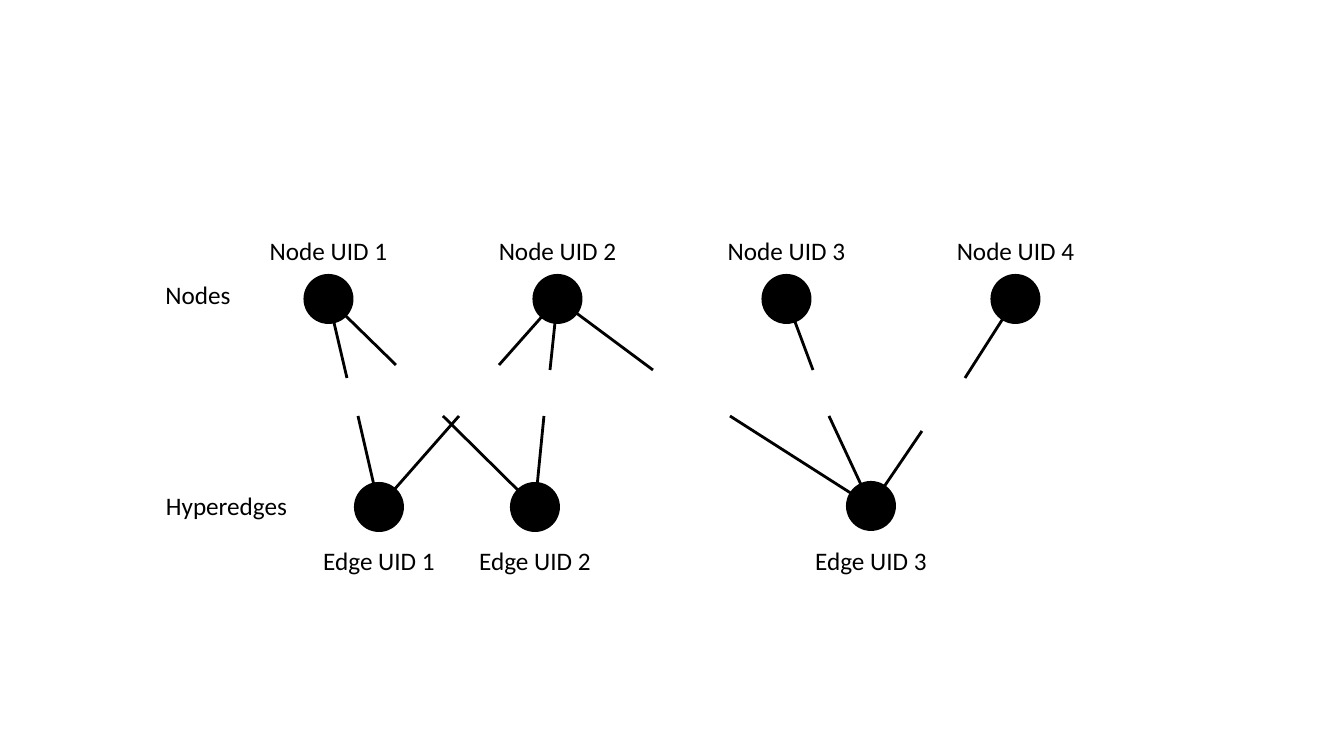
from lxml import etree
from pptx import Presentation
from pptx.dml.color import RGBColor
from pptx.enum.shapes import MSO_CONNECTOR, MSO_SHAPE
from pptx.enum.text import MSO_AUTO_SIZE, PP_ALIGN
from pptx.oxml.ns import qn
from pptx.util import Emu, Inches, Pt

OVAL = MSO_SHAPE.OVAL
STRAIGHT = MSO_CONNECTOR.STRAIGHT
CENTER = PP_ALIGN.CENTER
FIT_SHAPE = MSO_AUTO_SIZE.SHAPE_TO_FIT_TEXT
PX = Inches(1) / 100.8


def px(n):
    return Emu(round(n * PX))


def rgb(value):
    return RGBColor.from_string(value)


class Diagram:
    font, size, ink = "Calibri", 18, "000000"
    weight, dot_size, label_h = 2, 50, 40

    def __init__(self, slide):
        self.s = slide

    def dot(self, cx, cy):
        d = self.dot_size
        sp = self.s.shapes.add_shape(OVAL, px(cx - d / 2), px(cy - d / 2), px(d), px(d))
        sp.shadow.inherit = False
        sp.fill.solid()
        sp.fill.fore_color.rgb = rgb(self.ink)
        sp.line.fill.background()

    def line(self, start, end):
        ln = self.s.shapes.add_connector(STRAIGHT, *map(px, start + end))
        ln.line.color.rgb = rgb(self.ink)
        ln.line.width = Pt(self.weight)
        etree.SubElement(ln._element.spPr, qn("a:effectLst"))

    def label(self, text, cx, top, width):
        sp = self.s.shapes.add_textbox(px(cx - width / 2), px(top), px(width), px(self.label_h))
        tf = sp.text_frame
        tf.word_wrap = False
        tf.auto_size = FIT_SHAPE
        p = tf.paragraphs[0]
        p.alignment = CENTER
        r = p.add_run()
        r.text = text
        r.font.name = self.font
        r.font.size = Pt(self.size)
        r.font.color.rgb = rgb(self.ink)


prs = Presentation()
prs.slide_width, prs.slide_height = px(1344), px(756)
diagram = Diagram(prs.slides.add_slide(prs.slide_layouts[6]))

# Centres, numbered as in their labels
nodes = {i: (328.5 + 229 * (i - 1), 299) for i in range(1, 5)}
edges = {1: (379, 507), 2: (535, 507), 3: (871, 506)}

# Broken links: node, hyperedge, and the two ends of the gap
links = [
    (1, 1, (347, 378), (358, 416)),
    (1, 2, (396, 365), (443, 416)),
    (2, 1, (499, 365), (459, 416)),
    (2, 2, (550, 370), (544, 416)),
    (2, 3, (653, 370), (730, 416)),
    (3, 3, (813, 370), (829, 416)),
    (4, 3, (965, 378), (922, 431)),
]
for node, edge, gap_top, gap_bottom in links:
    diagram.line(nodes[node], gap_top)
    diagram.line(gap_bottom, edges[edge])

# Dots with their labels
for name, centres, top, width in (("Node", nodes, 230, 139), ("Edge", edges, 540, 133)):
    for number, (cx, cy) in centres.items():
        diagram.dot(cx, cy)
        diagram.label(f"{name} UID {number}", cx, top, width)

# Row names
diagram.label("Nodes", 198, 274, 87)
diagram.label("Hyperedges", 226.5, 485, 143)

prs.save("out.pptx")
